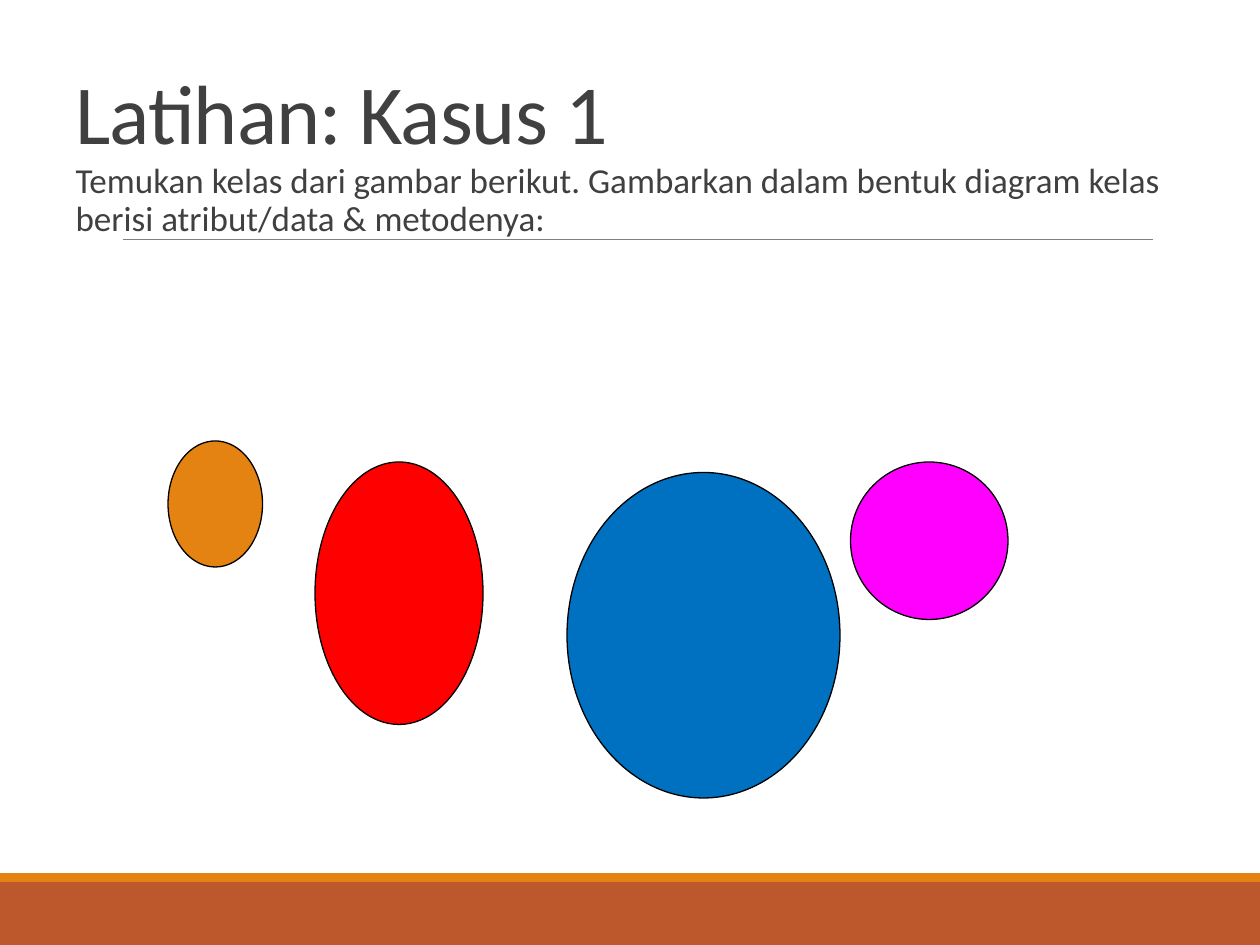
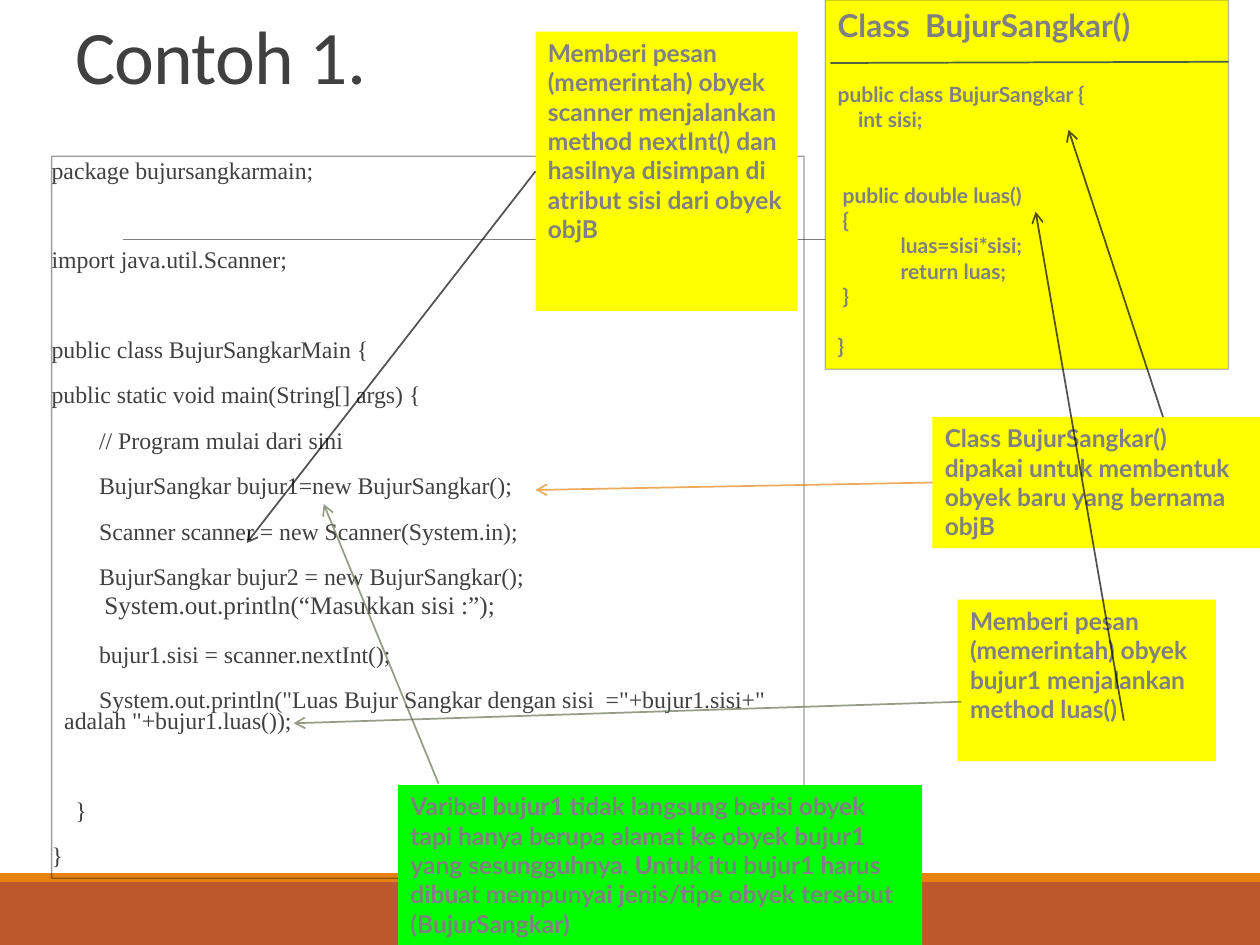
"""Build two slides on finding classes and using objects."""
from dataclasses import dataclass

from lxml import etree
from pptx import Presentation
from pptx.dml.color import RGBColor
from pptx.enum.shapes import MSO_CONNECTOR, MSO_SHAPE
from pptx.enum.text import MSO_ANCHOR
from pptx.oxml.ns import qn
from pptx.util import Pt

RECTANGLE, OVAL = MSO_SHAPE.RECTANGLE, MSO_SHAPE.OVAL
STRAIGHT = MSO_CONNECTOR.STRAIGHT
TOP, BOTTOM = MSO_ANCHOR.TOP, MSO_ANCHOR.BOTTOM
LEFT_SIDE = 1


@dataclass(frozen=True)
class Theme:
    orange: str = "E48312"
    rust: str = "BD582C"
    ink: str = "404040"
    gray: str = "808080"
    black: str = "000000"
    navy: str = "002060"
    olive: str = "637052"
    yellow: str = "FFFF00"
    green: str = "00FF00"
    red: str = "FF0000"
    magenta: str = "FF00FF"
    blue: str = "0070C0"
    text_font: str = "Calibri"
    code_font: str = "Times New Roman"
    note_font: str = "Lato"
    title_size: float = 48
    small_title_size: float = 43.2
    body_size: float = 20
    code_size: float = 13.6
    prompt_size: float = 14.4
    class_title_size: float = 18
    class_code_size: float = 12
    note_size: float = 14
    code_spacing: float = 0.73


THEME = Theme()
WIDTH, HEIGHT = 720, 540
BANDS = [((0, 504, WIDTH, 36), THEME.rust), ((0, 499, WIDTH, 5), THEME.orange)]
RULE = ((70.5, 136.8), (659, 136.8))

EXERCISE_TITLE = "Latihan: Kasus 1"
EXERCISE_TEXT = ("Temukan kelas dari gambar berikut. Gambarkan dalam bentuk diagram kelas "
                 "berisi atribut/data & metodenya:")
ELLIPSES = [
    ((96, 252, 54, 72), THEME.orange),
    ((180, 264, 96, 150), THEME.red),
    ((486, 264, 90, 90), THEME.magenta),
    ((324, 270, 156, 186), THEME.blue),
]

EXAMPLE_TITLE = "Contoh 1."
MAIN_BOX = (29.5, 89.3, 430, 412.6)
MAIN_GAP, MAIN_BLANK = 12, 25.4
PROMPT_LINE = "System.out.println(“Masukkan sisi :”);"
MAIN_CODE = [
    "package bujursangkarmain;",
    "",
    "import java.util.Scanner;",
    "",
    "public class BujurSangkarMain {",
    "public static void main(String[] args) {",
    "        // Program mulai dari sini",
    "        BujurSangkar bujur1=new BujurSangkar();",
    "        Scanner scanner = new Scanner(System.in);",
    "        BujurSangkar bujur2 = new BujurSangkar();",
    PROMPT_LINE,
    "        bujur1.sisi = scanner.nextInt();",
    '        System.out.println("Luas Bujur Sangkar dengan sisi  ="+bujur1.sisi+" adalah "+bujur1.luas());',
    "",
    "    }",
    "}",
]

CLASS_BOX = (471.6, 0, 230.4, 211)
CLASS_RULE = ((474.5, 36), (702, 35.3))
CLASS_TITLE = "Class  BujurSangkar()"
CLASS_TITLE_GAP, CLASS_BLANK = 21.6, 14.4
CLASS_CODE = [
    "public class BujurSangkar {",
    "    int sisi;",
    "",
    "",
    " public double luas()",
    " {",
    "\tluas=sisi*sisi;",
    "\treturn luas;",
    " }",
    "",
    "}",
]

NOTES = {
    "class": ((532.8, 238.3, 187.2, 74.9), THEME.yellow,
              "Class BujurSangkar() dipakai untuk membentuk obyek baru yang bernama objB"),
    "scanner": ((306, 18, 149.8, 159.8), THEME.yellow,
                "Memberi pesan (memerintah) obyek scanner menjalankan method nextInt() "
                "dan hasilnya disimpan di atribut sisi dari obyek objB"),
    "variable": ((227.5, 448.6, 299.5, 91.4), THEME.green,
                 "Varibel bujur1 tidak langsung berisi obyek tapi hanya berupa alamat ke "
                 "obyek bujur1 yang sesungguhnya. Untuk itu bujur1 harus dibuat mempunyai "
                 "jenis/tipe obyek tersebut (BujurSangkar)"),
    "method": ((547.2, 342.7, 147.6, 92.2), THEME.yellow,
               "Memberi pesan (memerintah) obyek bujur1 menjalankan method luas()"),
}
JOINED_ARROWS = [
    ("class", (306, 280), THEME.orange),
    ("scanner", (141, 310.3), THEME.black),
]
FREE_ARROWS = [
    ((664.6, 238.3), (610.6, 74.2), THEME.black),
    ((250.6, 447.8), (185, 288), THEME.olive),
    ((642.2, 411.8), (591.8, 121), THEME.black),
    ((549.4, 401), (167.8, 413.3), THEME.olive),
]


def color(code):
    return RGBColor.from_string(code)


def points(values):
    return [Pt(value) for value in values]


def style_line(shape, code, weight, opacity=100):
    shape.line.color.rgb = color(code)
    shape.line.width = Pt(weight)
    if opacity < 100:
        tint = shape.get_or_add_ln().find(".//" + qn("a:srgbClr"))
        etree.SubElement(tint, qn("a:alpha"), val=str(opacity * 1000))


def add_block(page, place, fill=None, outline=None, kind=RECTANGLE):
    block = page.shapes.add_shape(kind, *points(place))
    block.shadow.inherit = False
    if fill:
        block.fill.solid()
        block.fill.fore_color.rgb = color(fill)
    else:
        block.fill.background()
    if outline:
        style_line(block, *outline)
    else:
        block.line.fill.background()
    return block


def add_line(page, start, end, code, weight, opacity=100, arrow=False):
    line = page.shapes.add_connector(STRAIGHT, *points(start + end))
    etree.SubElement(line._element.spPr, qn("a:effectLst"))
    style_line(line, code, weight, opacity)
    if arrow:
        etree.SubElement(line.get_or_add_ln(), qn("a:tailEnd"), type="arrow")
    return line


def prepare_frame(box, side=7.2, anchor=TOP):
    frame = box.text_frame
    frame.word_wrap = True
    frame.vertical_anchor = anchor
    frame.margin_left = frame.margin_right = Pt(side)
    frame.margin_top = frame.margin_bottom = Pt(3.6)
    return frame


def write(frame, text, font, size, code, bold=False, before=0, after=0,
          spacing=1.0, margin=0, indent=0):
    para = frame.paragraphs[0]
    if para.runs:
        para = frame.add_paragraph()
    para.add_run().text = text
    properties = para._p.get_or_add_pPr()
    properties.set("algn", "l")
    properties.set("marL", str(Pt(margin)))
    properties.set("indent", str(Pt(indent)))
    para.line_spacing = spacing
    para.space_before, para.space_after = Pt(before), Pt(after)
    para.font.name, para.font.size, para.font.bold = font, Pt(size), bold
    para.font.color.rgb = color(code)
    return para


def with_gaps(lines, blank):
    gap = 0
    for line in lines:
        if line:
            yield line, gap
            gap = 0
        else:
            gap += blank


def add_page(deck, title, place, size):
    page = deck.slides.add_slide(deck.slide_layouts[6])
    for band, fill in BANDS:
        add_block(page, band, fill)
    add_line(page, *RULE, THEME.gray, 0.5)
    frame = prepare_frame(page.shapes.add_textbox(*points(place)), anchor=BOTTOM)
    para = write(frame, title, THEME.text_font, size, THEME.ink, spacing=0.85)
    for span in para.runs:
        span._r.get_or_add_rPr().set("spc", "-50")
    return page


def add_exercise(deck):
    page = add_page(deck, EXERCISE_TITLE, (36, 0, 648, 95.8), THEME.title_size)
    frame = prepare_frame(page.shapes.add_textbox(*points((36, 90, 648, 120))), side=0)
    write(frame, EXERCISE_TEXT, THEME.text_font, THEME.body_size, THEME.ink,
          after=2, spacing=0.9, margin=7.2)
    for place, fill in ELLIPSES:
        add_block(page, place, fill, (THEME.black, 0.75), OVAL)


def add_main_code(page):
    box = add_block(page, MAIN_BOX, outline=(THEME.black, 0.75, 39))
    frame = prepare_frame(box, side=0)
    for number, (line, gap) in enumerate(with_gaps(MAIN_CODE, MAIN_BLANK)):
        if line == PROMPT_LINE:
            size, before, after, margin, indent = THEME.prompt_size, 2, 4, 30.2, 0
        else:
            size, after, margin, indent = THEME.code_size, 2, 7.2, -7.2
            before = gap + MAIN_GAP if number else 0
        write(frame, line, THEME.code_font, size, THEME.ink, before=before, after=after,
              spacing=THEME.code_spacing, margin=margin, indent=indent)


def add_class_code(page):
    box = add_block(page, CLASS_BOX, THEME.yellow, (THEME.navy, 0.75, 31))
    frame = prepare_frame(box)
    write(frame, CLASS_TITLE, THEME.note_font, THEME.class_title_size, THEME.gray, bold=True)
    for number, (line, gap) in enumerate(with_gaps(CLASS_CODE, CLASS_BLANK)):
        write(frame, line, THEME.note_font, THEME.class_code_size, THEME.gray, bold=True,
              before=gap if number else CLASS_TITLE_GAP)
    add_line(page, *CLASS_RULE, THEME.navy, 1, 69)


def add_example(deck):
    page = add_page(deck, EXAMPLE_TITLE, (36, 0, 348, 60.5), THEME.small_title_size)
    add_main_code(page)
    add_class_code(page)
    boxes = {}
    for name, (place, fill, text) in NOTES.items():
        boxes[name] = add_block(page, place, fill)
        write(prepare_frame(boxes[name]), text, THEME.note_font, THEME.note_size,
              THEME.gray, bold=True)
    for name, end, code in JOINED_ARROWS:
        left, top, _, height = NOTES[name][0]
        arrow = add_line(page, (left, top + height / 2), end, code, 1, 67, arrow=True)
        arrow.begin_connect(boxes[name], LEFT_SIDE)
    for start, end, code in FREE_ARROWS:
        add_line(page, start, end, code, 1, 67, arrow=True)


def main():
    deck = Presentation()
    deck.slide_width, deck.slide_height = Pt(WIDTH), Pt(HEIGHT)
    add_exercise(deck)
    add_example(deck)
    deck.save("out.pptx")


if __name__ == "__main__":
    main()
